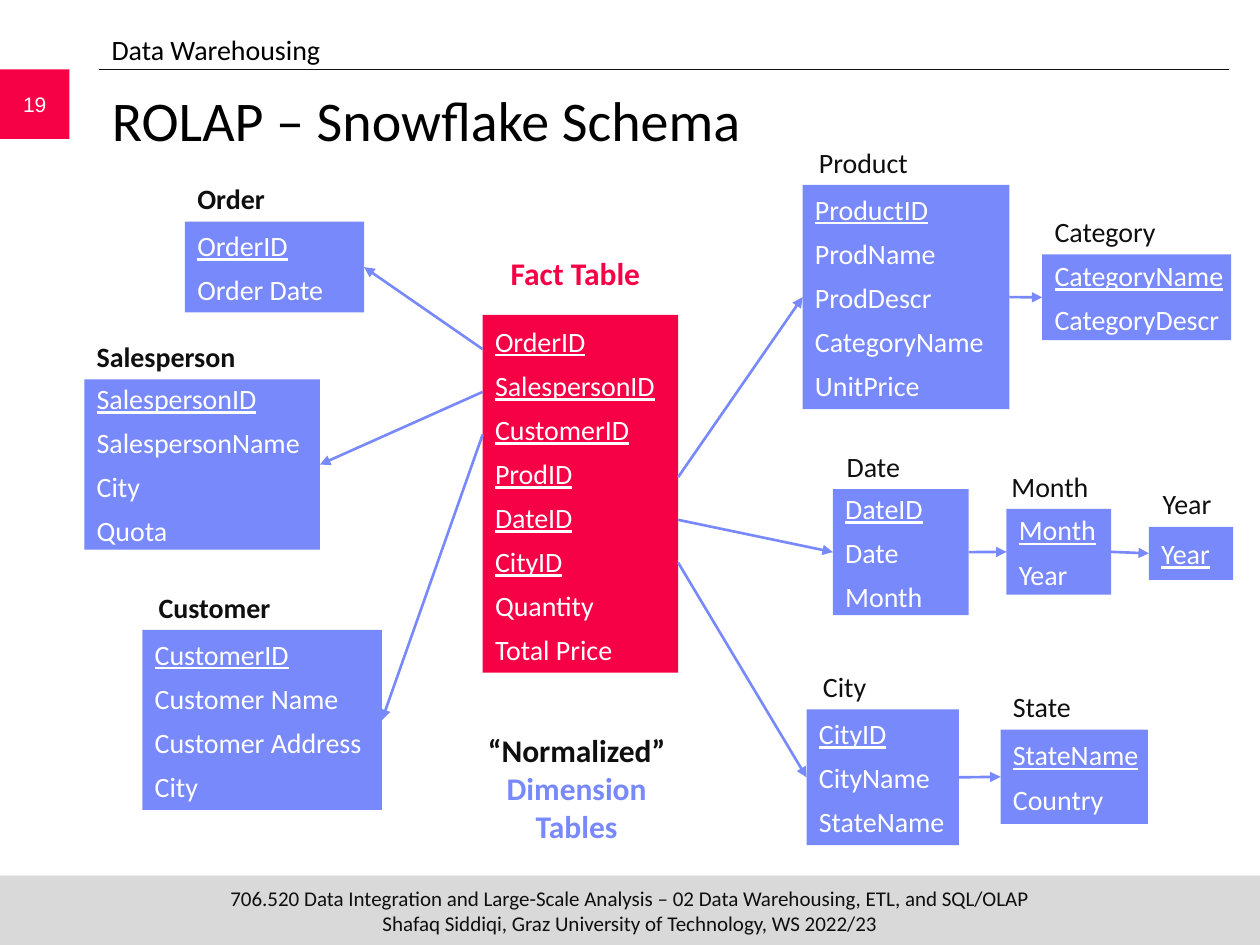
from dataclasses import dataclass

from lxml import etree
from pptx import Presentation
from pptx.dml.color import RGBColor
from pptx.enum.shapes import MSO_CONNECTOR, MSO_SHAPE
from pptx.enum.text import MSO_ANCHOR, MSO_AUTO_SIZE, PP_ALIGN
from pptx.oxml.ns import qn
from pptx.util import Cm, Pt

RECTANGLE = MSO_SHAPE.RECTANGLE
STRAIGHT = MSO_CONNECTOR.STRAIGHT
TOP, MIDDLE, BOTTOM = MSO_ANCHOR.TOP, MSO_ANCHOR.MIDDLE, MSO_ANCHOR.BOTTOM
LEFT, CENTER = PP_ALIGN.LEFT, PP_ALIGN.CENTER
LEFT_SIDE, RIGHT_SIDE = 1, 3
TITLE_ONLY = 5


@dataclass(frozen=True)
class Theme:
    font: str = "Calibri"
    number_font: str = "Arial"
    ink: RGBColor = RGBColor(0x0F, 0x0F, 0x0F)
    black: RGBColor = RGBColor(0, 0, 0)
    white: RGBColor = RGBColor(0xFF, 0xFF, 0xFF)
    fact: RGBColor = RGBColor(0xF7, 0x01, 0x46)
    dimension: RGBColor = RGBColor(0x78, 0x89, 0xFB)
    band: RGBColor = RGBColor(0xD9, 0xD9, 0xD9)
    title_size: int = 32
    caption_size: int = 18
    body_size: int = 16
    small_size: int = 12


THEME = Theme()

# Boxes are left, top, width, height in centimetres
PAGE_WIDTH, PAGE_HEIGHT = 25.4, 19.05
FACT_BOX = (9.73, 6.35, 3.94, 7.21)
FACT_KEYS = ["OrderID", "SalespersonID", "CustomerID", "ProdID", "DateID", "CityID"]
FACT_MEASURES = ["Quantity", "Total Price"]
FIRST_KEY_DROP, KEY_PITCH = 0.69, 0.86
LABEL_HEIGHT = 0.94

# name: (box, label shift, bold label, columns with the key first)
DIMENSIONS = {
    "Order": ((3.73, 4.47, 3.61, 1.83), 0, True, ["OrderID", "Order Date"]),
    "Salesperson": ((1.7, 7.65, 4.75, 3.43), 0, True,
                    ["SalespersonID", "SalespersonName", "City", "Quota"]),
    "Customer": ((2.87, 12.7, 4.83, 3.63), 0.08, True,
                 ["CustomerID", "Customer Name", "Customer Address", "City"]),
    "Product": ((16.18, 3.73, 4.17, 4.52), 0.08, False,
                ["ProductID", "ProdName", "ProdDescr", "CategoryName", "UnitPrice"]),
    "Date": ((16.79, 9.86, 2.74, 2.54), 0.03, False, ["DateID", "Date", "Month"]),
    "City": ((16.26, 14.3, 3.07, 2.74), 0.08, False,
             ["CityID", "CityName", "StateName"]),
    "Category": ((21.01, 5.13, 3.81, 1.73), 0, False,
                 ["CategoryName", "CategoryDescr"]),
    "Month": ((20.29, 10.26, 2.11, 1.73), -0.15, False, ["Month", "Year"]),
    "Year": ((23.16, 10.62, 1.7, 1.07), 0.03, False, ["Year"]),
    "State": ((20.17, 14.71, 2.97, 1.9), 0, False, ["StateName", "Country"]),
}
# Dimensions in the order of the fact table's keys
LEFT_DIMENSIONS = ["Order", "Salesperson", "Customer"]
RIGHT_DIMENSIONS = ["Product", "Date", "City"]
NORMALIZED_LINKS = [("Product", "Category"), ("Date", "Month"),
                    ("Month", "Year"), ("City", "State")]


def add_run(paragraph, text, size, color, bold=False, underline=False, font=THEME.font):
    run = paragraph.add_run()
    run.text = text
    run.font.name, run.font.size = font, Pt(size)
    run.font.color.rgb = color
    run.font.bold, run.font.underline = bold, underline


def add_rectangle(slide, box, color):
    rectangle = slide.shapes.add_shape(RECTANGLE, *map(Cm, box))
    rectangle.shadow.inherit = False
    rectangle.fill.solid()
    rectangle.fill.fore_color.rgb = color
    rectangle.line.fill.background()
    return rectangle


def add_text_box(slide, box, anchor=TOP, align=LEFT):
    """Add a wrapping text box and return its first paragraph."""
    frame = slide.shapes.add_textbox(*map(Cm, box)).text_frame
    frame.word_wrap = True
    frame.vertical_anchor = anchor
    frame.paragraphs[0].alignment = align
    return frame.paragraphs[0]


def add_line(slide, start, end, color, width):
    line = slide.shapes.add_connector(STRAIGHT, *map(Cm, (*start, *end)))
    line.line.color.rgb = color
    line.line.width = Pt(width)
    etree.SubElement(line._element.spPr, qn("a:effectLst"))
    return line


def add_arrow(slide, start, target, side, source=None):
    """Point an arrow at a side of target, from a place or from source's right."""
    arrow = add_line(slide, start, start, THEME.dimension, 1.5)
    if source is not None:
        arrow.begin_connect(source, RIGHT_SIDE)
    arrow.end_connect(target, side)
    etree.SubElement(arrow.line._get_or_add_ln(), qn("a:tailEnd"), type="triangle")


def add_schema_table(slide, box, color, keys, columns, anchor=MIDDLE):
    table = add_rectangle(slide, box, color)
    frame = table.text_frame
    frame.word_wrap = False
    frame.vertical_anchor = anchor
    for index, column in enumerate(keys + columns):
        paragraph = frame.paragraphs[0] if index == 0 else frame.add_paragraph()
        paragraph.alignment = LEFT
        if index:
            paragraph.space_before = Pt(6)
        add_run(paragraph, column, THEME.body_size, THEME.white,
                underline=index < len(keys))
    return table


def add_dimension(slide, name, box, label_shift, bold, columns):
    left, top, width, height = box
    label = add_text_box(
        slide, (left + label_shift, top - LABEL_HEIGHT, 3.8, LABEL_HEIGHT), BOTTOM)
    add_run(label, name, THEME.body_size, THEME.ink, bold)
    return add_schema_table(slide, box, THEME.dimension, columns[:1], columns[1:])


def add_fact_table(slide, box):
    left, top, width, height = box
    caption = add_text_box(slide, (left - 0.1, top - 1.37, width, 1.02), BOTTOM, CENTER)
    add_run(caption, "Fact Table", THEME.caption_size, THEME.fact, True)
    add_schema_table(slide, box, THEME.fact, FACT_KEYS, FACT_MEASURES, BOTTOM)


def add_header(slide, box):
    left, top, width, height = box
    topic = add_text_box(slide, (left, top, width, 0.91))
    add_run(topic, "Data Warehousing", THEME.body_size, THEME.black)
    add_line(slide, (left, top + 0.87), (left + width, top + 0.87), THEME.ink, 0.5)

    title = slide.shapes.title
    title.left, title.top = Cm(left), Cm(top + 1.07)
    title.width, title.height = Cm(width), Cm(2.11)
    frame = title.text_frame
    frame.auto_size = MSO_AUTO_SIZE.NONE
    frame.vertical_anchor = TOP
    frame.paragraphs[0].alignment = LEFT
    add_run(frame.paragraphs[0], "ROLAP – Snowflake Schema",
            THEME.title_size, THEME.black)


def add_page_number(slide, box):
    add_rectangle(slide, box, THEME.fact)
    number = add_text_box(slide, box, MIDDLE, CENTER)
    add_run(number, "19", THEME.small_size, THEME.white, font=THEME.number_font)


def add_footer(slide, box):
    frame = add_rectangle(slide, box, THEME.band).text_frame
    frame.margin_top = frame.margin_bottom = 0
    frame.vertical_anchor = MIDDLE
    footer = frame.paragraphs[0]
    footer.alignment = CENTER
    add_run(footer, "706.520 Data Integration and Large-Scale Analysis – "
            "02 Data Warehousing, ETL, and SQL/OLAP", THEME.small_size, THEME.ink)
    footer.add_line_break()
    add_run(footer, "Shafaq Siddiqi, Graz University of Technology, WS 2022/23",
            THEME.small_size, THEME.ink)


def add_schema(slide, fact_box):
    add_fact_table(slide, fact_box)
    tables = {name: add_dimension(slide, name, *details)
              for name, details in DIMENSIONS.items()}

    # Each foreign key of the fact table points at its dimension
    left, top, width, height = fact_box
    for index, name in enumerate(LEFT_DIMENSIONS + RIGHT_DIMENSIONS):
        on_left = name in LEFT_DIMENSIONS
        start = (left if on_left else left + width,
                 top + FIRST_KEY_DROP + index * KEY_PITCH)
        add_arrow(slide, start, tables[name], RIGHT_SIDE if on_left else LEFT_SIDE)
    for source, target in NORMALIZED_LINKS:
        add_arrow(slide, (0, 0), tables[target], LEFT_SIDE, tables[source])

    # Caption under the fact table
    caption = add_text_box(slide, (left - 0.66, top + 8.23, 5.11, 2.57), BOTTOM, CENTER)
    add_run(caption, "“Normalized”", THEME.caption_size, THEME.ink, True)
    caption.add_line_break()
    add_run(caption, "Dimension Tables", THEME.caption_size, THEME.dimension, True)


def main():
    deck = Presentation()
    deck.slide_width, deck.slide_height = Cm(PAGE_WIDTH), Cm(PAGE_HEIGHT)
    slide = deck.slides.add_slide(deck.slide_layouts[TITLE_ONLY])
    add_footer(slide, (0, PAGE_HEIGHT - 1.4, PAGE_WIDTH, 1.4))
    add_page_number(slide, (0, 1.4, 1.4, 1.4))
    add_header(slide, (2, 0.53, 22.78, 3.2))
    add_schema(slide, FACT_BOX)
    deck.save("out.pptx")


if __name__ == "__main__":
    main()
